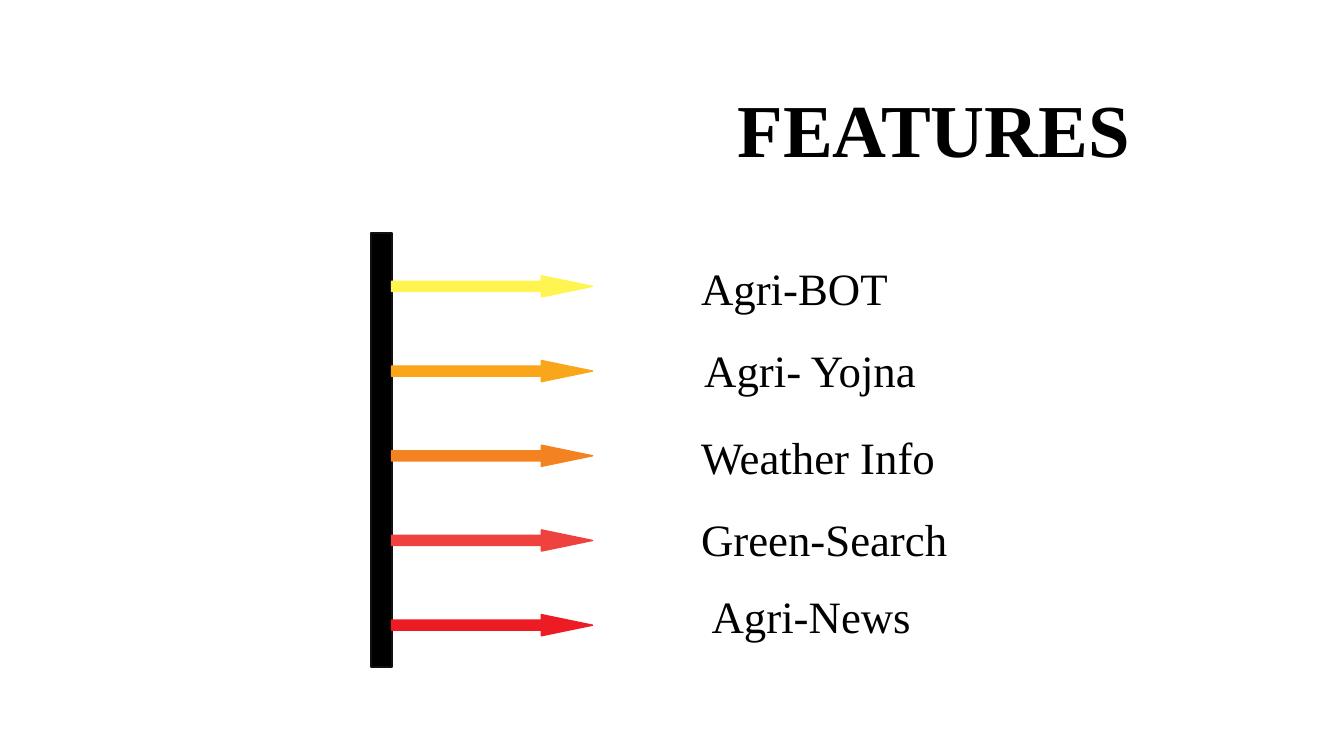
from pptx import Presentation
from pptx import util as u
from pptx.dml.color import RGBColor
from pptx.enum import shapes, text


def color(value):
    return RGBColor.from_string(value)


def format_text(paragraph, **values):
    values = {"name": "Times New Roman", "bold": False, **values}
    for key, value in values.items():
        setattr(paragraph.font, key, value)
    paragraph.font.color.rgb = color("000000")
    paragraph.alignment = text.PP_ALIGN.LEFT


presentation = Presentation()
presentation.slide_width = u.Cm(25.4)
presentation.slide_height = u.Cm(14.28)
slide = presentation.slides.add_slide(presentation.slide_layouts[5])

title = slide.shapes.title
title_format = {"left": u.Cm(6.32), "top": u.Cm(1.63), "width": u.Cm(17.78), "height": u.Cm(1.57)}
for key, value in title_format.items():
    setattr(title, key, value)
frame = title.text_frame
frame_format = {
    "text": "FEATURES",
    "margin_left": u.Cm(7.62),
    "margin_top": 0,
    "margin_right": 0,
    "margin_bottom": 0,
    "vertical_anchor": text.MSO_ANCHOR.MIDDLE,
    "auto_size": text.MSO_AUTO_SIZE.NONE,
}
for key, value in frame_format.items():
    setattr(frame, key, value)
format_text(frame.paragraphs[0], size=u.Pt(40), bold=True)

bar = slide.shapes.add_shape(
    shapes.MSO_SHAPE.RECTANGLE, u.Cm(7.01), u.Cm(4.4), u.Cm(0.4), u.Cm(8.2)
)
bar.shadow.inherit = False
bar.fill.solid()
bar.fill.fore_color.rgb = color("000000")
bar.line.color.rgb = color("111111")
bar.line.width = u.Pt(0.75)

features = [
    ("Agri-BOT", "FFF450", 13, 4.8, 4.6),
    ("Agri- Yojna", "FAA61A", 13.06, 6.35, 5),
    ("Weather Info", "F58220", 13, 8, 6.6),
    ("Green-Search", "EF413D", 13, 9.55, 6),
    ("Agri-News", "ED1C24", 13.2, 11, 4.8),
]
for index, (label, fill, left, top, width) in enumerate(features):
    arrow = slide.shapes.add_shape(
        shapes.MSO_SHAPE.RIGHT_ARROW, u.Cm(7.4), u.Cm(5.21 + 1.6 * index), u.Cm(3.8), u.Cm(0.4)
    )
    arrow.adjustments[0] = 0.48
    arrow.adjustments[1] = 2.42
    arrow.shadow.inherit = False
    arrow.fill.solid()
    arrow.fill.fore_color.rgb = color(fill)
    arrow.line.color.rgb = color(fill)
    arrow.line.width = u.Pt(0.75)

    box = slide.shapes.add_textbox(u.Cm(left), u.Cm(top), u.Cm(width), u.Cm(1.27))
    box.text_frame.word_wrap = True
    box.text_frame.text = label
    format_text(box.text_frame.paragraphs[0], size=u.Pt(24))

presentation.save("out.pptx")
